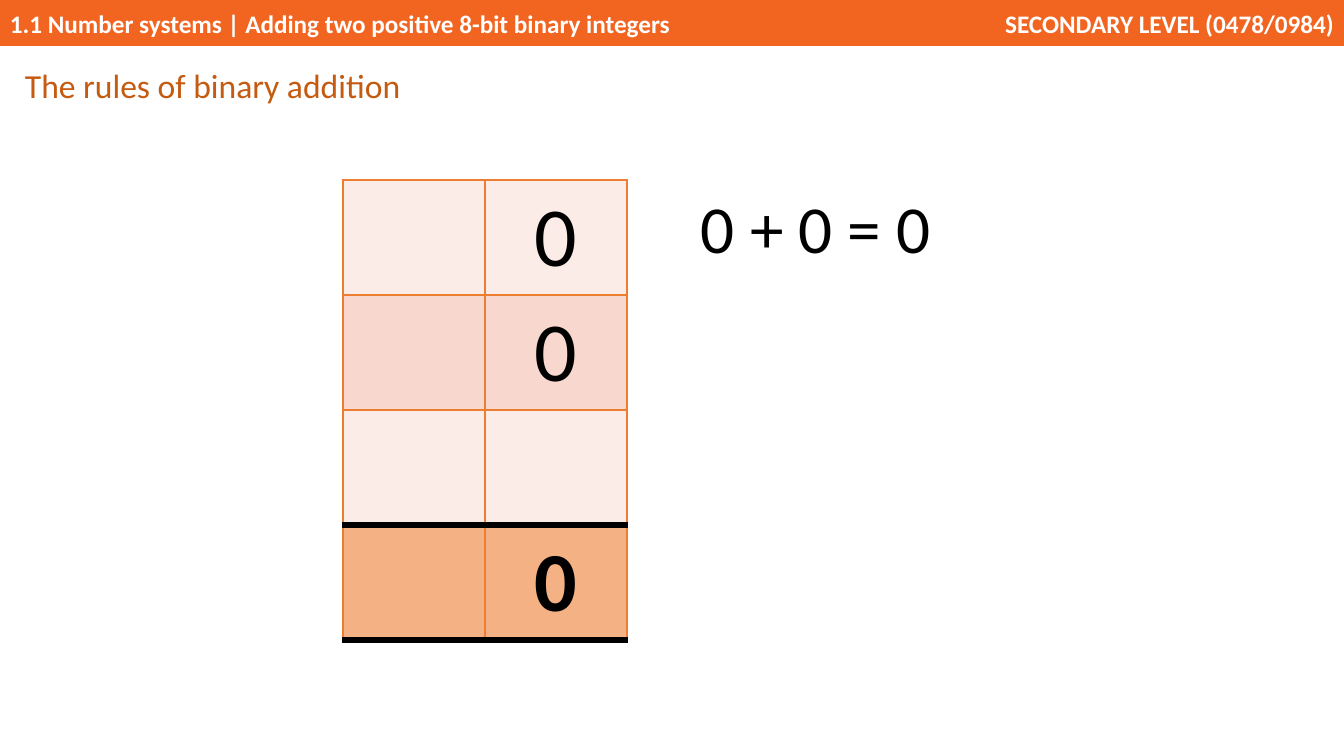
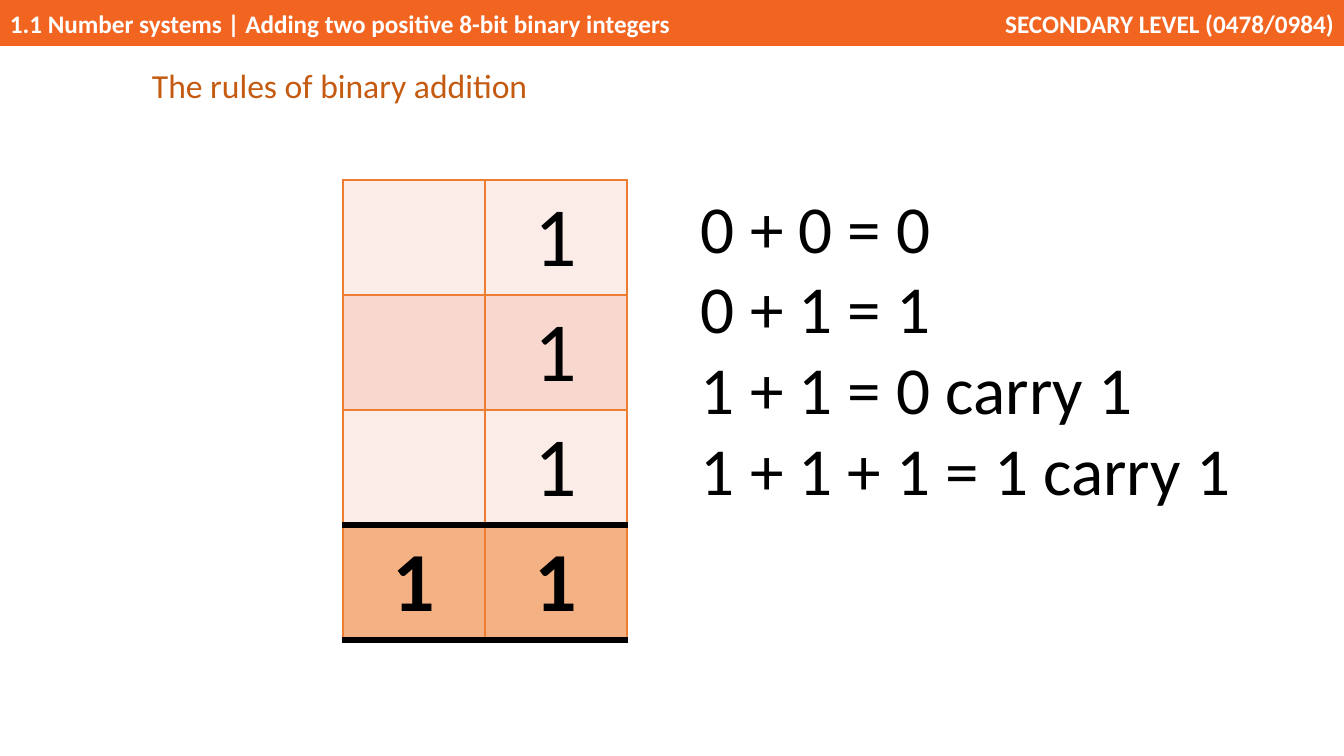
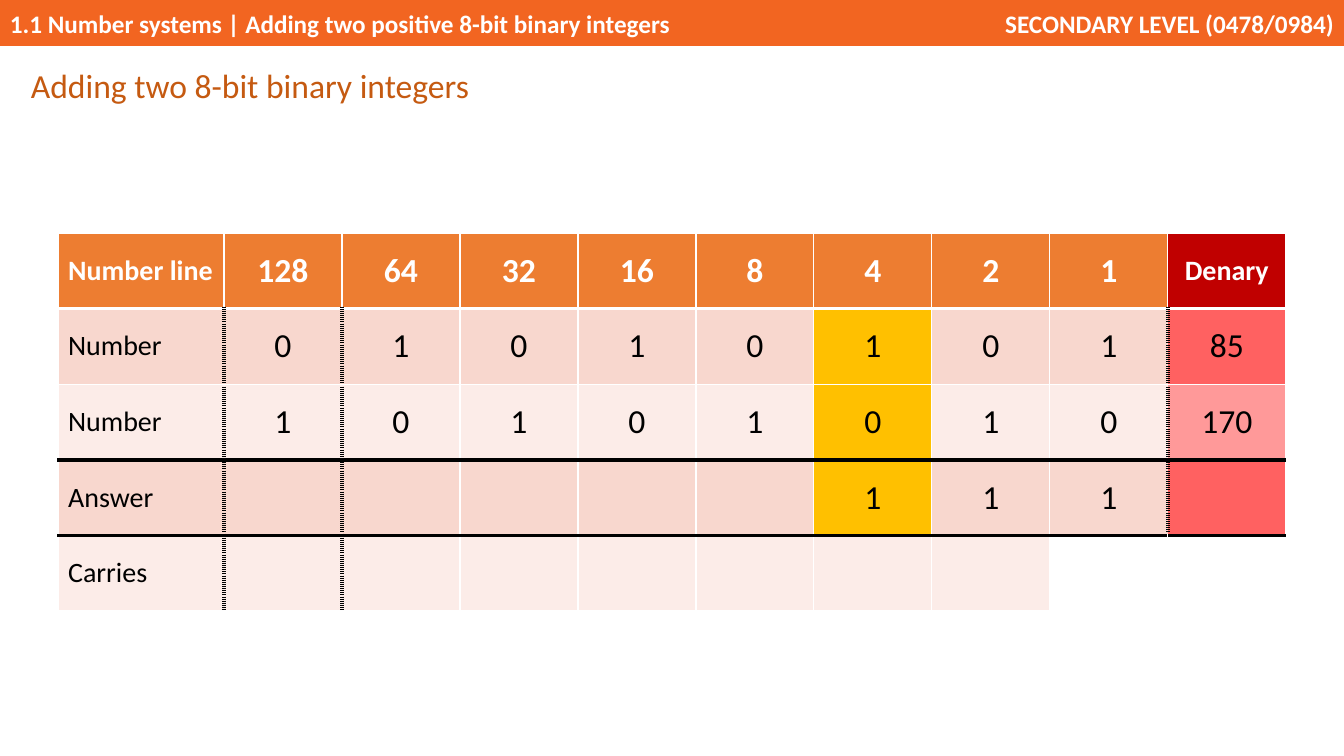
from lxml.etree import SubElement
from pptx import Presentation
from pptx.dml.color import RGBColor
from pptx.enum.shapes import MSO_SHAPE
from pptx.enum.text import MSO_ANCHOR, MSO_AUTO_SIZE, PP_ALIGN
from pptx.oxml.ns import qn
from pptx.util import Pt

PX = 9072  # EMU per px, slide is 1344 x 756 px
FONT = "Calibri"
BLACK = RGBColor(0x00, 0x00, 0x00)
WHITE = RGBColor(0xFF, 0xFF, 0xFF)
BAND = RGBColor(0xF2, 0x65, 0x21)
TITLE = RGBColor(0xC5, 0x5A, 0x11)
ORANGE = RGBColor(0xED, 0x7D, 0x31)
PALE = RGBColor(0xFC, 0xEC, 0xE8)
PINK = RGBColor(0xF8, 0xD7, 0xCE)
PEACH = RGBColor(0xF4, 0xB1, 0x83)
GOLD = RGBColor(0xFF, 0xC0, 0x00)
DARK_RED = RGBColor(0xC0, 0x00, 0x00)
RED = RGBColor(0xFF, 0x61, 0x61)
LIGHT_RED = RGBColor(0xFF, 0x99, 0x99)
LEFT, CENTER, RIGHT = PP_ALIGN.LEFT, PP_ALIGN.CENTER, PP_ALIGN.RIGHT


def write(tf, lines, size, color, bold=False, align=LEFT):
    for i, line in enumerate(lines):
        p = tf.paragraphs[0] if i == 0 else tf.add_paragraph()
        p.text = line
        p.alignment = align
        p.font.name = FONT
        p.font.size = Pt(size)
        p.font.bold = bold
        p.font.color.rgb = color


def paint(cell, fill, left, right, top, bottom):
    """Fill a cell and draw its borders, each (colour, points, dash)."""
    pr = cell._tc.get_or_add_tcPr()
    for side, (color, width, dash) in zip("LRTB", (left, right, top, bottom)):
        ln = SubElement(pr, qn(f"a:ln{side}"), w=str(Pt(width)))
        SubElement(SubElement(ln, qn("a:solidFill")), qn("a:srgbClr"), val=str(color))
        SubElement(ln, qn("a:prstDash"), val=dash)
    cell.fill.solid()
    cell.fill.fore_color.rgb = fill
    cell.vertical_anchor = MSO_ANCHOR.MIDDLE


prs = Presentation()
prs.slide_width, prs.slide_height = 1344 * PX, 756 * PX

# Header band and title of every slide
bands = [
    (0, 1113, "1.1 Number systems | Adding two positive 8-bit binary integers", LEFT),
    (991, 353, "SECONDARY LEVEL (0478/0984)", RIGHT),
]
titles = [
    (15, "The rules of binary addition"),
    (142, "The rules of binary addition"),
    (21, "Adding two 8-bit binary integers"),
]
for title_x, title in titles:
    s = prs.slides.add_slide(prs.slide_layouts[6])
    for x, w, text, align in bands:
        sp = s.shapes.add_shape(MSO_SHAPE.RECTANGLE, x * PX, 0, w * PX, 46 * PX)
        sp.shadow.inherit = False
        sp.fill.solid()
        sp.fill.fore_color.rgb = BAND
        sp.line.fill.background()
        sp.text_frame.vertical_anchor = MSO_ANCHOR.MIDDLE
        write(sp.text_frame, [text], 18, WHITE, True, align)
    tf = s.shapes.add_textbox(title_x * PX, 57 * PX, 484 * PX, 51 * PX).text_frame
    tf.word_wrap = True
    write(tf, [title], 24, TITLE)
    tf.paragraphs[0].line_spacing = 1.07
    tf.paragraphs[0].space_after = Pt(8)

# Slides 1 and 2: a two-column sum beside the rules so far
thin, thick = (ORANGE, 1, "solid"), (BLACK, 4.5, "solid")
row_fills = [PALE, PINK, PALE, PEACH]
row_edges = [thin, thin, thin, thick, thick]
rules = ["0 + 0 = 0", "0 + 1 = 1", "1 + 1 = 0 carry 1", "1 + 1 + 1 = 1 carry 1"]
sums = [
    ([("", "0"), ("", "0"), ("", ""), ("", "0")], rules[:1], 268, 92),
    ([("", "1"), ("", "1"), ("", "1"), ("1", "1")], rules, 572, 336),
]
for s, (rows, lines, w, h) in zip(prs.slides, sums):
    table = s.shapes.add_table(4, 2, 343 * PX, 180 * PX, 284 * PX, 460 * PX).table
    table.first_row = table.horz_banding = False
    for r, row in enumerate(rows):
        for c, digit in enumerate(row):
            cell = table.cell(r, c)
            paint(cell, row_fills[r], thin, thin, row_edges[r], row_edges[r + 1])
            if digit:
                write(cell.text_frame, [digit], 60, BLACK, r == 3, CENTER)
    tf = s.shapes.add_textbox(691 * PX, 181 * PX, w * PX, h * PX).text_frame
    tf.word_wrap = False
    tf.auto_size = MSO_AUTO_SIZE.SHAPE_TO_FIT_TEXT
    write(tf, lines, 48, BLACK)

# Slide 3: 8-bit addition
rows = [
    ["Number line", "128", "64", "32", "16", "8", "4", "2", "1", "Denary"],
    ["Number", *"01010101", "85"],
    ["Number", *"10101010", "170"],
    ["Answer", "", "", "", "", "", *"111", ""],
    ["Carries"] + [""] * 9,
]
row_fills = [ORANGE, PINK, PALE, PINK, PALE]
denary_fills = [DARK_RED, RED, LIGHT_RED, RED, WHITE]
white, gap = (WHITE, 1, "solid"), (WHITE, 3, "solid")
rule, dots = (BLACK, 3, "solid"), (BLACK, 3, "dot")
row_edges = [white, gap, white, rule, rule, white]

s = prs.slides[2]
table = s.shapes.add_table(5, 10, 58 * PX, 233 * PX, 1228 * PX, 378 * PX).table
table.first_row = table.horz_banding = False
for c, col in enumerate(table.columns):
    col.width = (118 if c else 166) * PX
for r, row in enumerate(rows):
    # Dotted edges stand left of columns 1, 2 and 9 below the header
    dotted = [(), (1, 2, 9), (1, 2, 9), (1, 2, 9), (1, 2)][r]
    col_edges = [dots if c in dotted else white for c in range(11)]
    for c, text in enumerate(row):
        fill = row_fills[r]
        if c == 9:
            fill = denary_fills[r]
        elif c == 6 and r in (1, 2, 3):
            fill = GOLD
        elif c == 8 and r == 4:
            fill = WHITE
        cell = table.cell(r, c)
        paint(cell, fill, col_edges[c], col_edges[c + 1], row_edges[r], row_edges[r + 1])
        if text:
            size = 20 if c == 0 or text == "Denary" else 24
            color = BLACK if r else WHITE
            write(cell.text_frame, [text], size, color, r == 0, CENTER if c else LEFT)

prs.save("out.pptx")
